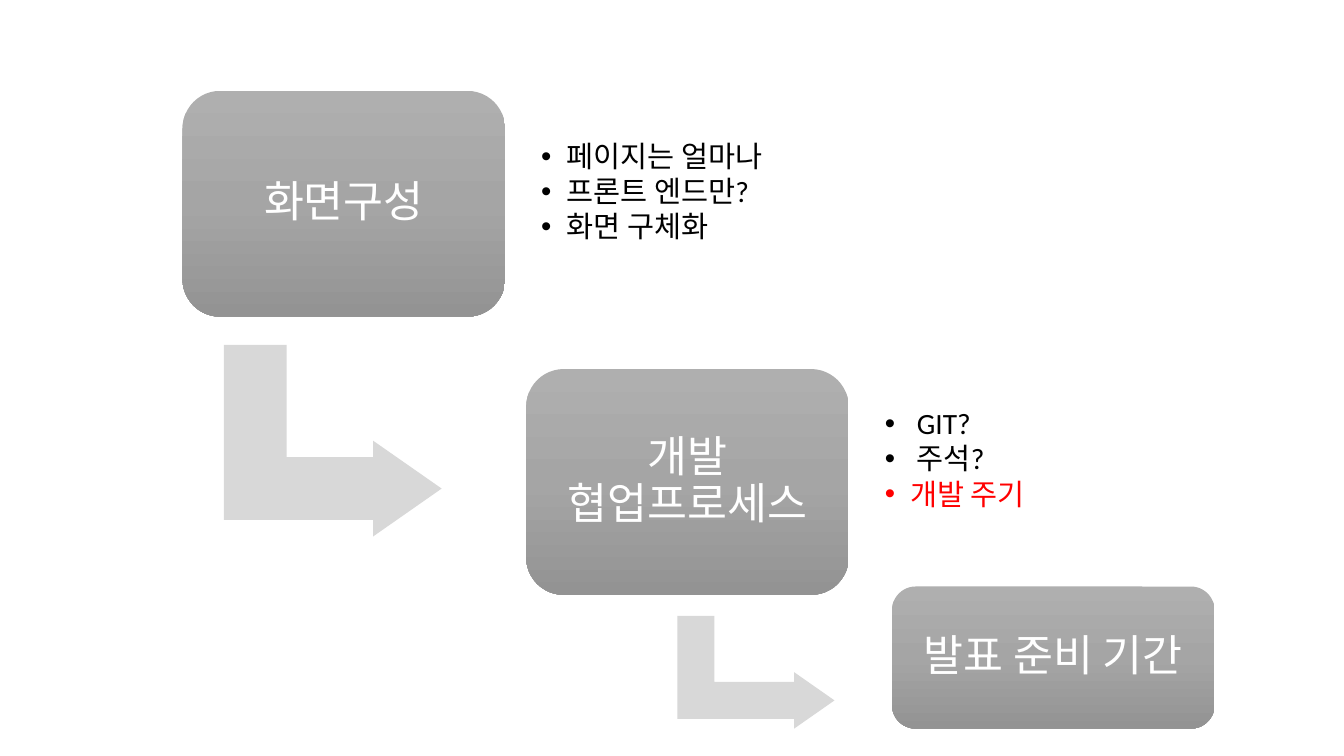
import copy

import pptx
import pptx.util
import pptx.dml.color
import pptx.enum.shapes
import pptx.enum.text
import pptx.oxml.ns
from lxml import etree

Cm, Pt = pptx.util.Cm, pptx.util.Pt
SHAPE = pptx.enum.shapes.MSO_SHAPE
ALIGN = pptx.enum.text.PP_ALIGN
qn = pptx.oxml.ns.qn

COLORS = {
    "top": "AFAFAF", "mid": "A5A5A5", "low": "939393",
    "arrow": "D8D8D8", "white": "FFFFFF", "black": "000000", "red": "FF0000",
}
FONT = "Calibri"
BOX_WIDTH = 8.13


def rgb(name):
    return pptx.dml.color.RGBColor.from_string(COLORS[name])


def set_frame(frame, inset):
    frame.word_wrap = True
    frame.vertical_anchor = pptx.enum.text.MSO_ANCHOR.MIDDLE
    frame.margin_left = frame.margin_right = Cm(inset)
    frame.margin_top = frame.margin_bottom = Cm(inset)


def put_text(para, text, size=21, color="black", align=ALIGN.LEFT, after=0):
    para.alignment = align
    para.line_spacing = 0.9
    para.space_after = Pt(after)
    run = para.add_run()
    run.text = text
    run.font.name = FONT
    run.font.size = Pt(size)
    run.font.color.rgb = rgb(color)


def add_bullet(para):
    props = para._p.get_or_add_pPr()
    indent = Cm(0.64)
    props.set("marL", str(indent))
    props.set("indent", str(-indent))
    etree.SubElement(props, qn("a:buFont")).set("typeface", "Arial")
    etree.SubElement(props, qn("a:buChar")).set("char", "•")


def add_shape(slide, kind, place, adjust):
    shape = slide.shapes.add_shape(kind, *map(Cm, place))
    shape.shadow.inherit = False
    shape.line.fill.background()
    for i, value in enumerate(adjust):
        shape.adjustments[i] = value
    return shape


def shade(fill):
    fill.gradient()
    fill.gradient_angle = 270
    # The default gradient has two stops; add a middle one
    first = fill._fill._gradFill.gsLst[0]
    first.addnext(copy.deepcopy(first))
    for stop, name, pos in zip(fill.gradient_stops, ("top", "mid", "low"), (0, 0.5, 1)):
        stop.color.rgb = rgb(name)
        stop.position = pos


def add_step(slide, left, top, height, text):
    box = add_shape(slide, SHAPE.ROUNDED_RECTANGLE, (left, top, BOX_WIDTH, height), [0.167])
    shade(box.fill)
    set_frame(box.text_frame, 0.33)
    put_text(box.text_frame.paragraphs[0], text, size=31, color="white", align=ALIGN.CENTER)


def add_arrow(slide, *place):
    arrow = add_shape(slide, SHAPE.BENT_UP_ARROW, place, [0.328, 0.25, 0.358])
    arrow.rotation = 90
    arrow.fill.solid()
    arrow.fill.fore_color.rgb = rgb("arrow")


def add_list(slide, place, items):
    frame = slide.shapes.add_textbox(*map(Cm, place)).text_frame
    set_frame(frame, 0.28)
    for i, (text, color) in enumerate(items):
        para = frame.add_paragraph() if i else frame.paragraphs[0]
        put_text(para, text, color=color, after=2.5)
        add_bullet(para)


def main():
    deck = pptx.Presentation()
    deck.slide_width, deck.slide_height = Cm(33.87), Cm(19.05)
    slide = deck.slides.add_slide(deck.slide_layouts[6])

    # Screen layout
    add_arrow(slide, 5.97, 8.36, 4.83, 5.49)
    add_step(slide, 4.6, 2.29, 5.69, "화면구성")
    add_list(slide, (13.36, 2.57, 14.02, 4.6), [
        ("페이지는 얼마나", "black"),
        ("프론트 엔드만?", "black"),
        ("화면 구체화", "black"),
    ])

    # Working together
    add_arrow(slide, 17.63, 14.96, 2.84, 3.96)
    add_step(slide, 13.26, 9.3, 5.69, "개발 협업프로세스")
    add_list(slide, (22.02, 9.3, 5.92, 4.6), [
        (" GIT?", "black"),
        (" 주석?", "black"),
        ("개발 주기", "red"),
    ])

    # Getting ready to present
    add_step(slide, 22.48, 14.78, 3.58, "발표 준비 기간")

    deck.save("out.pptx")


main()
